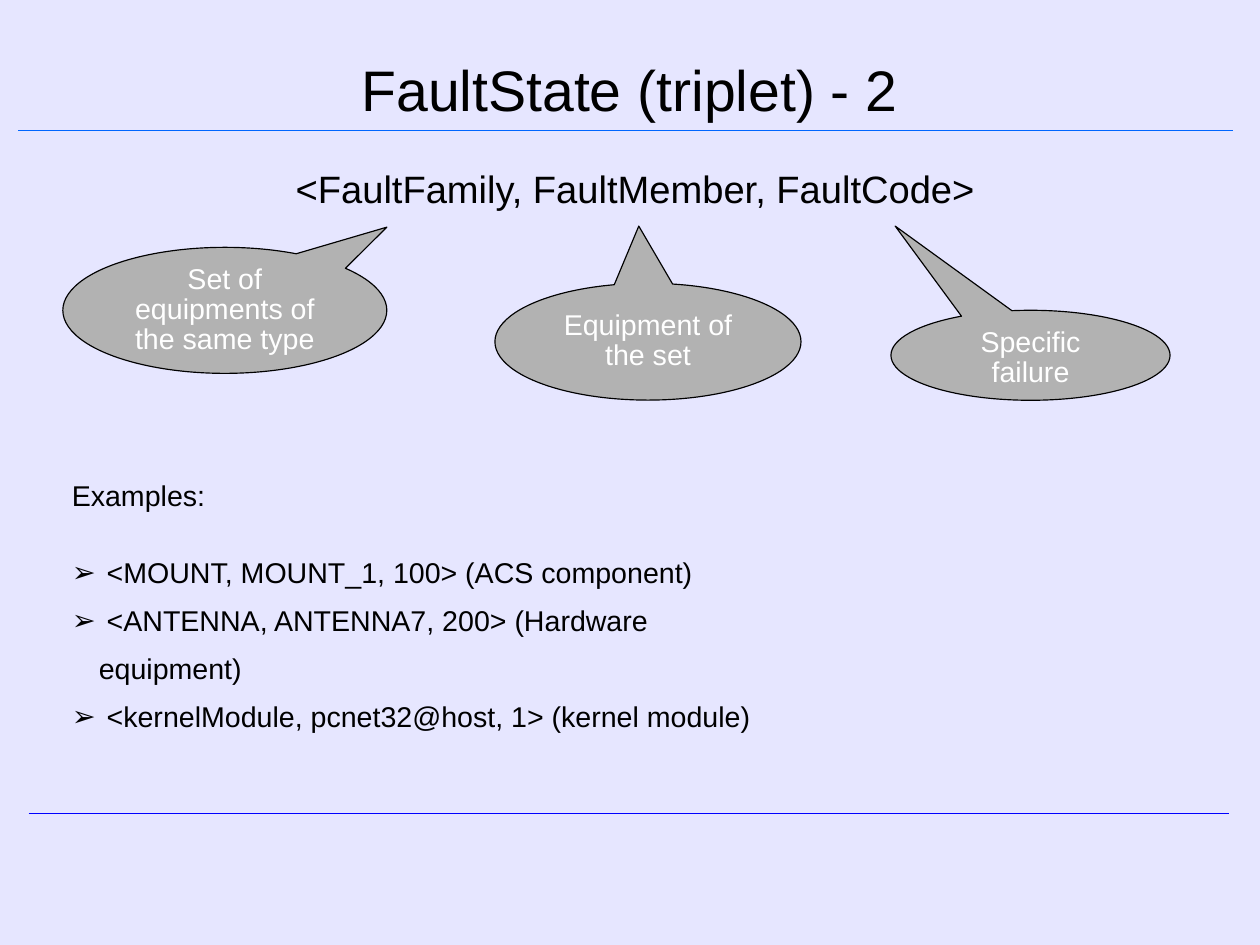
from dataclasses import dataclass

from lxml.etree import SubElement
from pptx import Presentation
from pptx.dml.color import RGBColor
from pptx.enum.shapes import MSO_CONNECTOR, MSO_SHAPE
from pptx.enum.text import MSO_ANCHOR, PP_ALIGN
from pptx.oxml.ns import qn
from pptx.util import Pt

BLACK, WHITE, GREY = "000000", "FFFFFF", "B2B2B2"
BULLET_INDENT = 17


@dataclass
class Rule:
    x1: float
    x2: float
    y: float
    color: str


@dataclass
class Callout:
    text: str
    box: tuple[float, float, float, float]
    tip: tuple[float, float]
    anchor: MSO_ANCHOR = MSO_ANCHOR.MIDDLE


RULES = [
    Rule(18, 774, 512.5, "0000FF"),
    Rule(11.4, 776.6, 82, "0066FF"),
]
CALLOUTS = [
    Callout("Set of equipments of the same type", (39.6, 155.8, 204.1, 79.4), (0.5, -0.66)),
    Callout("Equipment of the set", (311.8, 178.5, 192.8, 73.6), (-0.03, -0.99)),
    Callout("Specific failure", (561.3, 195.5, 175.8, 56.7), (-0.485, -1.436), MSO_ANCHOR.TOP),
]
EXAMPLES = [
    " <MOUNT, MOUNT_1, 100> (ACS component)",
    " <ANTENNA, ANTENNA7, 200> (Hardware equipment)",
    " <kernelModule, pcnet32@host, 1> (kernel module)",
]


def rgb(color: str) -> RGBColor:
    return RGBColor.from_string(color)


def write(p, text: str, size=18, color=BLACK, align=PP_ALIGN.LEFT, spacing=0.87, after=0) -> None:
    p.alignment, p.line_spacing, p.space_after = align, spacing, Pt(after)
    r = p.add_run()
    r.text = text
    r.font.name, r.font.size = "Arial", Pt(size)
    r.font.color.rgb = rgb(color)


def add_bullet(p) -> None:
    pPr = p._p.get_or_add_pPr()
    pPr.set("marL", str(Pt(BULLET_INDENT)))
    pPr.set("indent", str(-Pt(BULLET_INDENT)))
    SubElement(pPr, qn("a:buFont"), typeface="Arial")
    SubElement(pPr, qn("a:buChar"), char="➢")


def add_text_box(s, box, anchor=MSO_ANCHOR.TOP, inset=(0, 0)):
    tf = s.shapes.add_textbox(*map(Pt, box)).text_frame
    tf.word_wrap, tf.vertical_anchor = True, anchor
    tf.margin_left = tf.margin_right = Pt(inset[0])
    tf.margin_top = tf.margin_bottom = Pt(inset[1])
    return tf


def add_rule(s, rule: Rule) -> None:
    line = s.shapes.add_connector(
        MSO_CONNECTOR.STRAIGHT, Pt(rule.x1), Pt(rule.y), Pt(rule.x2), Pt(rule.y))
    line.line.color.rgb, line.line.width = rgb(rule.color), Pt(0.75)
    SubElement(line._element.spPr, qn("a:effectLst"))


def add_callout(s, callout: Callout) -> None:
    sp = s.shapes.add_shape(MSO_SHAPE.OVAL_CALLOUT, *map(Pt, callout.box))
    sp.adjustments[0], sp.adjustments[1] = callout.tip
    sp.shadow.inherit = False
    sp.fill.solid()
    sp.fill.fore_color.rgb = rgb(GREY)
    sp.line.color.rgb, sp.line.width = rgb(BLACK), Pt(0.75)
    tf = sp.text_frame
    tf.word_wrap, tf.vertical_anchor = True, callout.anchor
    write(tf.paragraphs[0], callout.text, color=WHITE, align=PP_ALIGN.CENTER)


def main() -> None:
    prs = Presentation()
    prs.slide_width, prs.slide_height = Pt(793.7), Pt(595.28)
    s = prs.slides.add_slide(prs.slide_layouts[6])
    s.background.fill.solid()
    s.background.fill.fore_color.rgb = rgb("E6E6FF")

    # Rules above and below the content
    for rule in RULES:
        add_rule(s, rule)

    # Title and triplet
    tf = add_text_box(s, (39.6, 9.36, 714.24, 99.36), MSO_ANCHOR.MIDDLE)
    write(tf.paragraphs[0], "FaultState (triplet) - 2", size=36, align=PP_ALIGN.CENTER)
    tf = add_text_box(s, (26.4, 108, 747.4, 396))
    write(tf.paragraphs[0], "<FaultFamily, FaultMember, FaultCode>", size=24,
          align=PP_ALIGN.CENTER)

    # Callouts explaining each member of the triplet
    for callout in CALLOUTS:
        add_callout(s, callout)

    # Examples
    tf = add_text_box(s, (38.16, 300.24, 468, 135.4), inset=(7.2, 3.6))
    write(tf.paragraphs[0], "Examples:", after=18.5)
    for example in EXAMPLES:
        p = tf.add_paragraph()
        write(p, example, spacing=1.4)
        add_bullet(p)

    prs.save("out.pptx")


if __name__ == "__main__":
    main()
